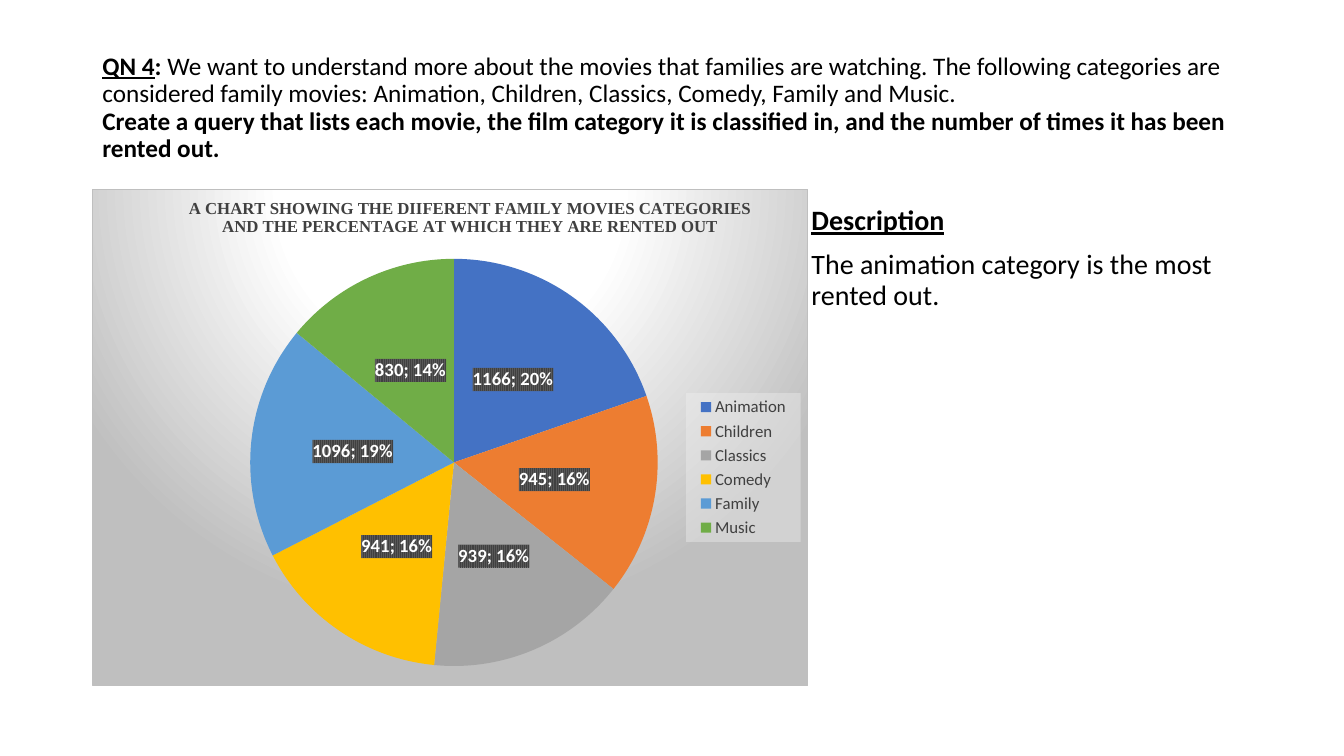
import pptx
import pptx.chart.data
import pptx.enum.chart
import pptx.enum.text
import pptx.oxml
import pptx.util
from pptx.dml.color import RGBColor

Cm, Pt = pptx.util.Cm, pptx.util.Pt

# Content: runs are (text, bold, underlined)
HEAD = [
    [("QN 4", True, True), (":", True, False),
     (" We want to understand more about the movies that families are watching."
      " The following categories are considered family movies: Animation, Children,"
      " Classics, Comedy, Family and Music.", False, False)],
    [("Create a query that lists each movie, the film category it is classified in,"
      " and the number of times it has been rented out.", True, False)],
]
NOTES = [
    [("Description", True, True)],
    [("The animation category is the most rented out.", False, False)],
]
TITLE = ("A CHART SHOWING THE DIIFERENT FAMILY MOVIES CATEGORIES"
         " AND THE PERCENTAGE AT WHICH THEY ARE RENTED OUT")
SLICES = [
    ("Animation", 1166, "4472C4"),
    ("Children", 945, "ED7D31"),
    ("Classics", 939, "A5A5A5"),
    ("Comedy", 941, "FFC000"),
    ("Family", 1096, "5B9BD5"),
    ("Music", 830, "70AD47"),
]
COLORS = {"text": "000000", "soft": "404040", "white": "FFFFFF",
          "edge": "BFBFBF", "dark": "404040", "stripe": "595959",
          "key": "F2F2F2"}
FONT = "Calibri"
NS = ('xmlns:c="http://schemas.openxmlformats.org/drawingml/2006/chart" '
      'xmlns:a="http://schemas.openxmlformats.org/drawingml/2006/main"')
C = "{http://schemas.openxmlformats.org/drawingml/2006/chart}"


def style(font, size, color, name=FONT, bold=None):
    font.size, font.name, font.bold = Pt(size), name, bold
    font.color.rgb = RGBColor.from_string(COLORS[color])


def add_text(slide, box, size, paras, gap=0):
    frame = slide.shapes.add_textbox(*map(Cm, box)).text_frame
    frame.word_wrap = True
    for i, runs in enumerate(paras):
        para = frame.paragraphs[0] if i == 0 else frame.add_paragraph()
        para.line_spacing = 0.9
        para.space_before = Pt(gap if i else 0)
        style(para.font, size, "text")
        for text, bold, under in runs:
            run = para.add_run()
            run.text = text
            run.font.bold, run.font.underline = bold, under
    return frame


def solid(key, extra=""):
    return f'<a:srgbClr val="{COLORS[key]}">{extra}</a:srgbClr>'


def skin(part, fill):
    """Give a chart part its fill, just ahead of its text settings."""
    part.find(C + "txPr").addprevious(
        pptx.oxml.parse_xml(f"<c:spPr {NS}>{fill}</c:spPr>"))


def place(part, target="", **spots):
    """Set a chart part's place as fractions of the chart."""
    old = part.find(C + "layout")
    if old is not None:
        part.remove(old)
    modes = "".join(f'<c:{k}Mode val="edge"/>' for k in "xy")
    vals = "".join(f'<c:{k} val="{v}"/>' for k, v in spots.items())
    new = pptx.oxml.parse_xml(
        f"<c:layout {NS}><c:manualLayout>{target}{modes}{vals}"
        "</c:manualLayout></c:layout>")
    over = part.find(C + "overlay")
    if over is None:
        part.insert(0, new)
    else:
        over.addprevious(new)


def add_pie(slide, box):
    data = pptx.chart.data.CategoryChartData()
    data.categories = [name for name, _, _ in SLICES]
    data.add_series("Series 1", [val for _, val, _ in SLICES])
    chart = slide.shapes.add_chart(
        pptx.enum.chart.XL_CHART_TYPE.PIE, *map(Cm, box), data).chart
    style(chart.font, 10, "text")
    root = chart.element

    # Title
    chart.has_title = True
    para = chart.chart_title.text_frame.paragraphs[0]
    para.text = TITLE
    style(para.font, 12, "soft", "Times New Roman", True)
    place(root.find(f".//{C}title"), x=0.13, y=0.01)

    # Slices
    plot = chart.plots[0]
    plot.vary_by_categories = True
    series = plot.series[0]
    for i, (_, _, color) in enumerate(SLICES):
        fill = series.points[i].format.fill
        fill.solid()
        fill.fore_color.rgb = RGBColor.from_string(color)
    place(root.find(f".//{C}plotArea"), '<c:layoutTarget val="inner"/>',
          x=0.22, y=0.13, w=0.57, h=0.84)

    # Labels
    labels = series.data_labels
    labels.show_value = labels.show_percentage = True
    labels.position = pptx.enum.chart.XL_LABEL_POSITION.CENTER
    style(labels.font, 13.3, "white", bold=True)
    tag = root.find(f".//{C}ser/{C}dLbls")
    skin(tag, f'<a:pattFill prst="narVert"><a:fgClr>{solid("dark")}</a:fgClr>'
              f'<a:bgClr>{solid("stripe")}</a:bgClr></a:pattFill>')
    tag.find(C + "showBubbleSize").addnext(
        pptx.oxml.parse_xml(f"<c:separator {NS}>; </c:separator>"))

    # Legend
    chart.has_legend = True
    chart.legend.position = pptx.enum.chart.XL_LEGEND_POSITION.RIGHT
    chart.legend.include_in_layout = False
    style(chart.legend.font, 12, "soft")
    key = root.find(f".//{C}legend")
    place(key, x=0.83, y=0.41, w=0.16, h=0.3)
    clear = '<a:alpha val="39000"/>'
    skin(key, f'<a:solidFill>{solid("key", clear)}</a:solidFill>')

    # Background
    stops = "".join(f'<a:gs pos="{at * 1000}">{solid(name)}</a:gs>'
                    for at, name in ((0, "white"), (39, "white"), (100, "edge")))
    skin(root, f'<a:gradFill><a:gsLst>{stops}</a:gsLst><a:path path="circle">'
               '<a:fillToRect l="50000" t="-80000" r="50000" b="180000"/>'
               '</a:path></a:gradFill><a:ln w="9525"><a:solidFill>'
               f'{solid("edge")}</a:solidFill></a:ln>')


def main():
    deck = pptx.Presentation()
    deck.slide_width, deck.slide_height = Cm(33.87), Cm(19.05)
    slide = deck.slides.add_slide(deck.slide_layouts[6])

    # Question
    frame = add_text(slide, (2.33, 1.04, 29.21, 3.68), 18, HEAD)
    frame.vertical_anchor = pptx.enum.text.MSO_ANCHOR.MIDDLE
    frame.margin_bottom = Cm(0.43)

    # Answer
    add_text(slide, (20.2, 5.08, 11.33, 12.09), 20, NOTES, gap=10)
    add_pie(slide, (2.33, 4.77, 18.04, 12.52))
    deck.save("out.pptx")


if __name__ == "__main__":
    main()
